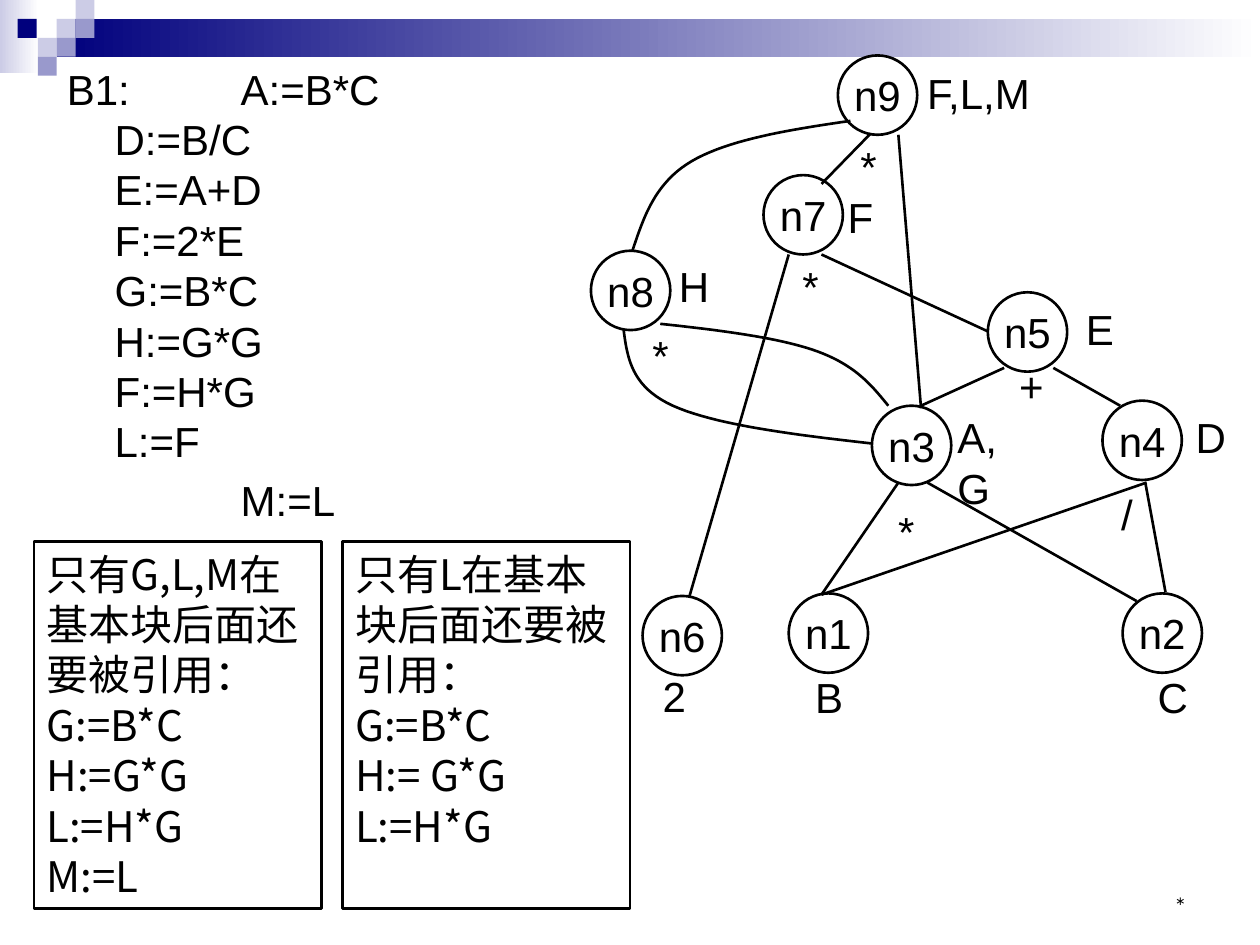
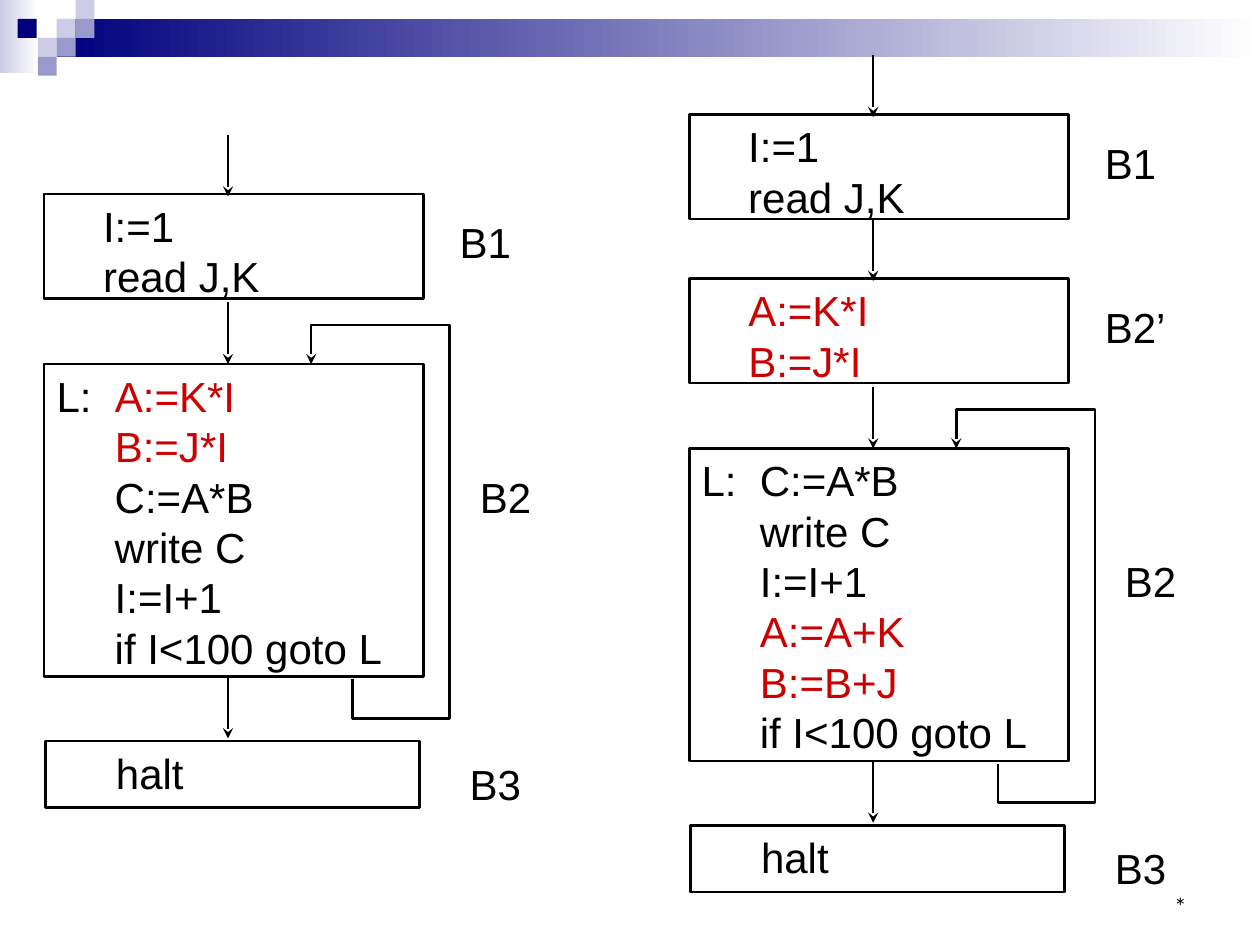
import dataclasses

import lxml.etree
import pptx
import pptx.dml.color
import pptx.enum.shapes
import pptx.enum.text
import pptx.oxml.ns
import pptx.util

SHAPE = pptx.enum.shapes.MSO_SHAPE
ALIGN = pptx.enum.text.PP_ALIGN
ANCHOR = pptx.enum.text.MSO_ANCHOR
qn = pptx.oxml.ns.qn


@dataclasses.dataclass(frozen=True)
class Theme:
    """Colours, fonts, type sizes and line widths."""
    ink: str = "000000"
    paper: str = "FFFFFF"
    red: str = "CC0000"
    navy: str = "00007D"
    violet: str = "9999CC"
    lilac: str = "CCCCE6"
    latin: str = "Arial"
    chinese: str = "Noto Sans CJK SC"
    footer_font: str = "Montserrat"
    size: int = 24
    footer_size: int = 12
    leading: float = 28.8
    para_gap: float = 4.8
    stroke: float = 1.5


def emu(px):
    """Turn px, one hundred to the inch, into EMU."""
    return pptx.util.Emu(round(px * 9144))


def rgb(value):
    """Read a hex colour."""
    return pptx.dml.color.RGBColor.from_string(value)


def bezier(start, *curves, steps=20):
    """Return points along joined cubic curves."""
    points = [start]
    for c1, c2, end in curves:
        p0 = points[-1]
        for i in range(1, steps + 1):
            t = i / steps
            u = 1 - t
            points.append(tuple(
                u ** 3 * a + 3 * u * u * t * b + 3 * u * t * t * c + t ** 3 * d
                for a, b, c, d in zip(p0, c1, c2, end)))
    return points


class Deck:
    """Holds the presentation, its style and the current slide."""

    def __init__(self, theme):
        """Start an empty deck."""
        self.theme = theme
        self.prs = pptx.Presentation()
        self.prs.slide_width, self.prs.slide_height = emu(1000), emu(750)
        self.s = None

    def slide(self, layout):
        """Add a slide with the footer mark."""
        self.s = self.prs.slides.add_slide(self.prs.slide_layouts[layout])
        t = self.theme
        tf = self.label("*", 717, 683, 233, font=t.footer_font, size=t.footer_size, leading=None)
        tf.vertical_anchor = ANCHOR.BOTTOM
        tf.paragraphs[0].alignment = ALIGN.RIGHT

    def master_bands(self):
        """Draw the header bands and tiles and move them to the master."""
        t = self.theme
        bands = [self.box(0, 0, 31, 58, (t.lilac, t.paper), False),
                 self.box(45, 15, 955, 30, (t.navy, t.paper), False)]
        tiles = [(45, 15, t.lilac), (60, 0, t.lilac), (60, 15, t.violet), (30, 30, t.lilac),
                 (14, 15, t.navy), (45, 30, t.violet), (30, 45, t.violet)]
        bands += [self.box(x, y, 15, 15, fill, False) for x, y, fill in tiles]
        for sp in bands:
            self.prs.slide_master.element.cSld.spTree.append(sp.element)

    def style(self, r, color=None, font=None, size=None):
        """Format a run."""
        t = self.theme
        r.font.size = pptx.util.Pt(size or t.size)
        r.font.color.rgb = rgb(color or t.ink)
        r.font.name = font or t.latin
        ea = lxml.etree.SubElement(r._r.get_or_add_rPr(), qn("a:ea"))
        ea.set("typeface", font or t.latin)

    def put_text(self, tf, lines, font=None, size=None, leading=Theme.leading):
        """Set one paragraph a line; what follows a tilde is red."""
        for i, line in enumerate(lines):
            p = tf.add_paragraph() if i else tf.paragraphs[0]
            plain, _, moved = line.partition("~")
            p.text = plain
            p.alignment = ALIGN.LEFT
            if leading:
                p.line_spacing = pptx.util.Pt(leading)
            for r in p.runs:
                self.style(r, None, font, size)
            if moved:
                r = p.add_run()
                r.text = moved
                self.style(r, self.theme.red, font, size)

    def outline(self, sp, arrow=False):
        """Give a shape or connector the standard line."""
        sp.line.color.rgb = rgb(self.theme.ink)
        sp.line.width = pptx.util.Pt(self.theme.stroke)
        if arrow:
            ln = sp.element.spPr.find(qn("a:ln"))
            lxml.etree.SubElement(ln, qn("a:tailEnd")).set("type", "stealth")

    def box(self, x, y, w, h, fill=None, lined=True, kind=SHAPE.RECTANGLE):
        """Add a preset shape with a plain, gradient or no fill."""
        sp = self.s.shapes.add_shape(kind, emu(x), emu(y), emu(w), emu(h))
        sp.shadow.inherit = False
        if isinstance(fill, tuple):
            sp.fill.gradient()
            sp.fill.gradient_angle = 0
            for stop, color, position in zip(sp.fill.gradient_stops, fill, (0, 1)):
                stop.color.rgb = rgb(color)
                stop.position = position
        elif fill:
            sp.fill.solid()
            sp.fill.fore_color.rgb = rgb(fill)
        else:
            sp.fill.background()
        if lined:
            self.outline(sp)
        else:
            sp.line.fill.background()
        return sp

    def block(self, x, y, w, h, lines, fill=None, font=None):
        """Add a framed block of code."""
        tf = self.box(x, y, w, h, fill).text_frame
        tf.vertical_anchor = ANCHOR.TOP
        tf.word_wrap = True
        self.put_text(tf, lines, font)

    def node(self, name, x, y):
        """Add a round graph node."""
        tf = self.box(x, y, 63, 63, kind=SHAPE.OVAL).text_frame
        tf.margin_left = tf.margin_right = 0
        tf.margin_top = tf.margin_bottom = emu(4)
        tf.vertical_anchor = ANCHOR.MIDDLE
        self.put_text(tf, [name])
        tf.paragraphs[0].alignment = ALIGN.CENTER

    def label(self, text, x, y, w, wrap=False, **style):
        """Add a one-line text box."""
        tf = self.s.shapes.add_textbox(emu(x), emu(y), emu(w), emu(50)).text_frame
        tf.word_wrap = wrap
        self.put_text(tf, [text], **style)
        return tf

    def line(self, x1, y1, x2, y2, arrow=False):
        """Add a straight line."""
        kind = pptx.enum.shapes.MSO_CONNECTOR.STRAIGHT
        sp = self.s.shapes.add_connector(kind, emu(x1), emu(y1), emu(x2), emu(y2))
        self.outline(sp, arrow)
        lxml.etree.SubElement(sp.element.spPr, qn("a:effectLst"))

    def route(self, points, arrow=False):
        """Add an open line through points."""
        points = [(emu(x), emu(y)) for x, y in points]
        fb = self.s.shapes.build_freeform(*points[0], scale=1.0)
        fb.add_line_segments(points[1:], close=False)
        sp = fb.convert_to_shape()
        sp.shadow.inherit = False
        sp.fill.background()
        self.outline(sp, arrow)

    def body(self, x, y, w, h, items):
        """Fill the body placeholder with (text, margin, indent, gap) items."""
        title = self.s.shapes.title
        title.element.getparent().remove(title.element)
        sp = self.s.placeholders[1]
        sp.left, sp.top, sp.width, sp.height = map(emu, (x, y, w, h))
        tf = sp.text_frame
        tf.auto_size = pptx.enum.text.MSO_AUTO_SIZE.NONE
        self.put_text(tf, [item[0] for item in items])
        for p, (_, margin, indent, gap) in zip(tf.paragraphs, items):
            p.space_before = pptx.util.Pt(gap)
            pPr = p._p.get_or_add_pPr()
            pPr.set("marL", str(emu(margin)))
            pPr.set("indent", str(emu(indent)))
            lxml.etree.SubElement(pPr, qn("a:buNone"))

    def entry(self, dx, dy, lines, name):
        """Add a two-line block with its incoming arrow and label."""
        self.block(35 + dx, 154 + dy, 301, 83, lines)
        self.line(181 + dx, 107 + dy, 181 + dx, 156 + dy, True)
        self.label(name, 355 + dx, 167 + dy, 83, wrap=True)

    def loop(self, dx, dy, lines):
        """Add the loop block, its back edge and the halt block."""
        self.block(35 + dx, 289 + dy, 301, 248, lines)
        self.block(36 + dx, 588 + dy, 297, 53, ["     halt"])
        back = [(280, 539), (280, 570), (357, 570), (357, 258), (247, 258), (247, 289)]
        self.route([(x + dx, y + dy) for x, y in back], True)
        for y in (240, 537):
            self.line(181 + dx, y + dy, 181 + dx, y + 49 + dy, True)
        self.label("B2", 371 + dx, 369 + dy, 83, wrap=True)
        self.label("B3", 363 + dx, 597 + dy, 83, wrap=True)


def dag_slide(d):
    """Build the basic block and its graph."""
    t = d.theme
    statements = ["D:=B/C", "E:=A+D", "F:=2*E", "G:=B*C", "H:=G*G", "F:=H*G", "L:=F"]
    d.body(43, 45, 299, 386, [
        ("B1:\tA:=B*C", 138, -138, 0),
        ("\v".join(statements), 38, 0, 0),
        ("M:=L", 138, 0, t.para_gap)])

    nodes = {"n1": (626, 471), "n2": (891, 471), "n3": (692, 322), "n4": (875, 318),
             "n5": (784, 232), "n6": (510, 473), "n7": (606, 139), "n8": (469, 199),
             "n9": (665, 44)}
    for name, (x, y) in nodes.items():
        d.node(name, x, y)

    edges = [(713, 383, 652, 472), (736, 383, 902, 477), (652, 472, 910, 383),
             (925, 470, 909, 383), (797, 292, 731, 322), (836, 292, 889, 322),
             (626, 202, 547, 474), (652, 202, 784, 263), (713, 107, 731, 324),
             (691, 106, 652, 146)]
    for edge in edges:
        d.line(*edge)

    curves = [
        ((524, 257), ((571, 262), (619, 268), (649, 279)), ((679, 290), (692, 306), (705, 322))),
        ((495, 262), ((498, 284), (501, 307), (534, 322)), ((567, 337), (629, 345), (692, 352))),
        ((502, 199), ((511, 172), (520, 145), (549, 128)), ((578, 111), (626, 103), (675, 96)))]
    for curve in curves:
        d.route(bezier(*curve))

    operators = [("*", 703, 396, 33), ("/", 880, 383, 29), ("+", 799, 281, 40),
                 ("*", 627, 202, 33), ("*", 508, 257, 33), ("*", 673, 107, 33)]
    names = [("2", 516, 527, 39), ("B", 637, 528, 42), ("C", 909, 528, 44),
             ("A,G", 750, 322, 77), ("D", 939, 322, 44), ("E", 852, 236, 42),
             ("H", 529, 202, 44), ("F,L,M", 726, 49, 105), ("F", 663, 147, 40)]
    for label in operators + names:
        d.label(*label)

    notes = [
        (272, ["只有L在基本块后面还要被引用：", "G:=B*C", "H:= G*G", "L:=H*G"]),
        (27, ["只有G,L,M在基本块后面还要被引用：", "G:=B*C", "H:=G*G", "L:=H*G", "M:=L"])]
    for x, lines in notes:
        d.block(x, 430, 228, 291, lines, t.paper, t.chinese)


def loop_slide(d):
    """Build the flow graph before and after strength reduction."""
    start = ["    I:=1", "    read J,K"]
    d.entry(0, 0, start, "B1")
    d.loop(0, 0, ["L:  ~A:=K*I", "     ~B:=J*I", "     C:=A*B", "     write C",
                  "     I:=I+1", "     if I<100 goto L"])
    right, down = 512, 67
    d.entry(right, -63, start, "B1")
    d.entry(right, down, ["    ~A:=K*I", "    ~B:=J*I"], "B2’")
    d.loop(right, down, ["L:  C:=A*B", "     write C", "     I:=I+1", "     ~A:=A+K",
                         "     ~B:=B+J", "     if I<100 goto L"])


def main():
    """Build and save the deck."""
    d = Deck(Theme())
    d.slide(1)
    d.master_bands()
    dag_slide(d)
    d.slide(6)
    loop_slide(d)
    d.prs.save("out.pptx")


if __name__ == "__main__":
    main()
